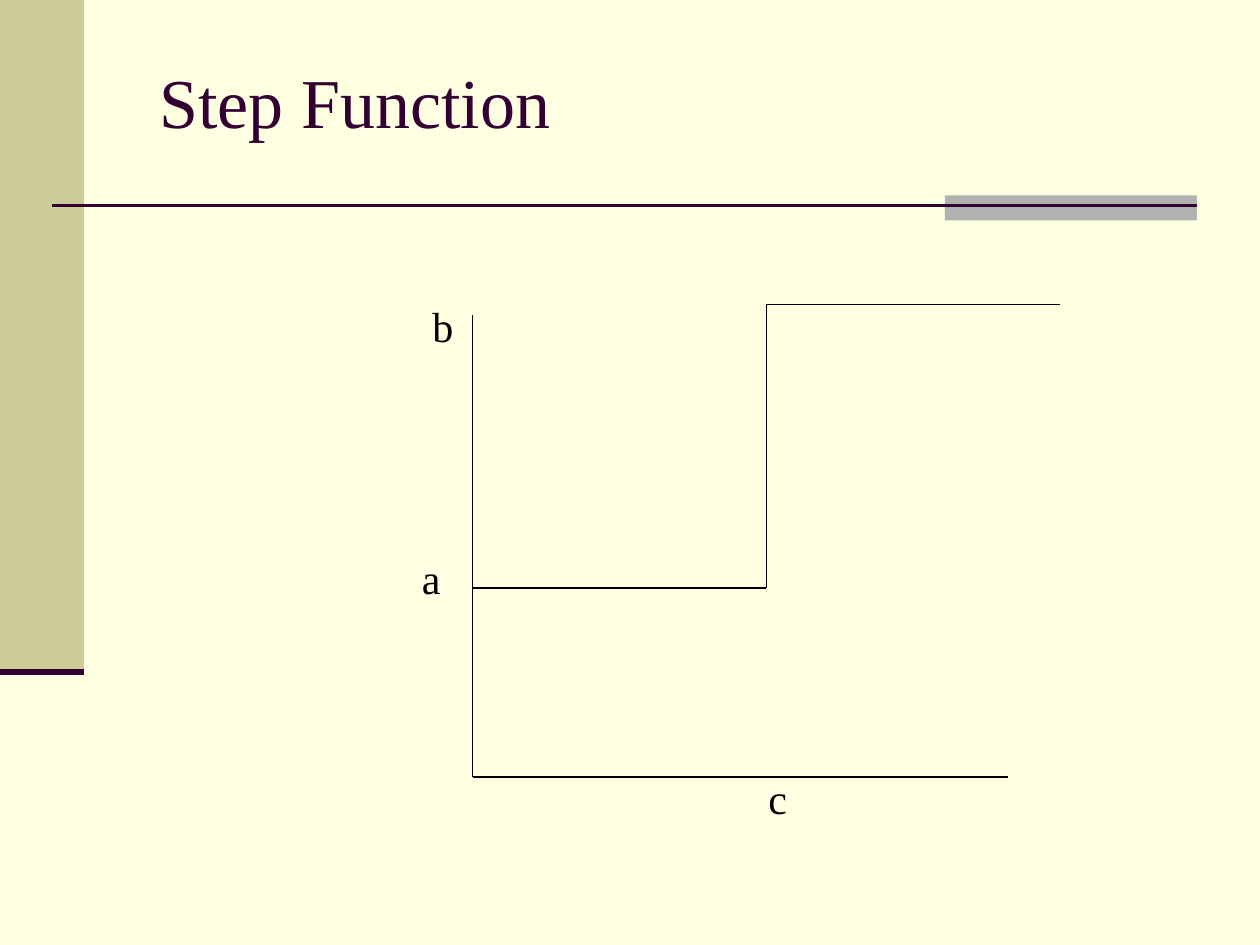
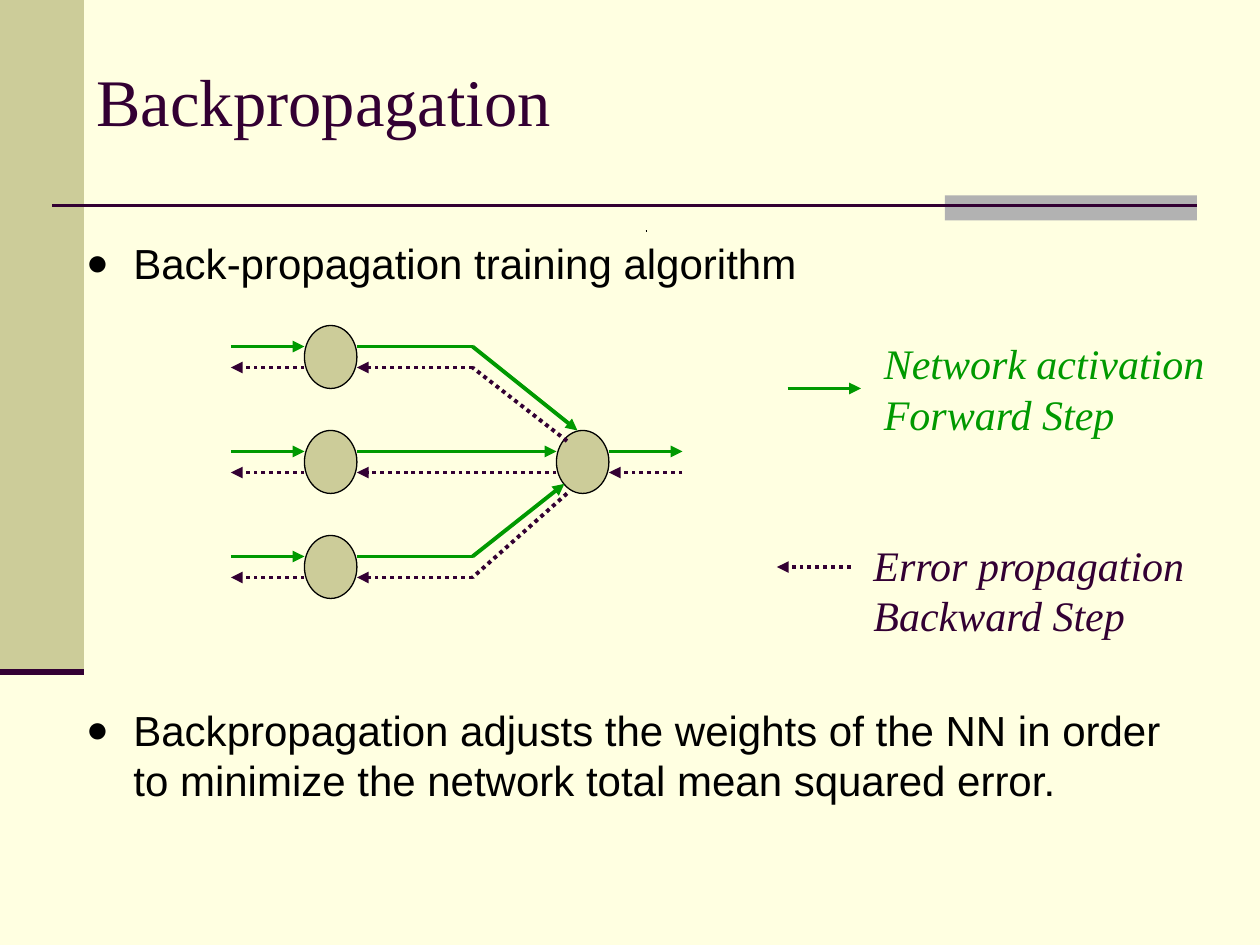
from dataclasses import dataclass

from lxml.etree import SubElement
from pptx import Presentation
from pptx.dml.color import RGBColor
from pptx.enum.dml import MSO_LINE
from pptx.enum.shapes import MSO_CONNECTOR, MSO_SHAPE
from pptx.enum.text import MSO_ANCHOR as Anchor, MSO_AUTO_SIZE as AutoSize, PP_ALIGN as Align
from pptx.oxml.ns import qn
from pptx.util import Pt


@dataclass(frozen=True)
class Theme:
    cream: str = "FFFFE1"
    khaki: str = "CCCC99"
    gray: str = "B2B2B2"
    plum: str = "330033"
    green: str = "009900"
    black: str = "000000"
    serif: str = "Times New Roman"
    sans: str = "Arial"
    text: int = 24
    thin: float = 0.75
    rule: float = 1.5
    arrow: float = 2.25
    edge: float = 3.5


THEME = Theme()

# Boxes are (left, top, width, height); paths are lists of (x, y).
STEP_TITLE = ("Step Function", (84, 30, 378, 56), 40, Anchor.TOP)
AXES = [(270, 180), (270, 444), (576, 444)]
STEP = [(270, 336), (438, 336), (438, 174), (606, 174)]
AXIS_LABELS = [
    ("c", (432, 438, 126, 36)),
    ("b", (240, 168, 24, 36)),
    ("a", (234, 312, 30, 36)),
]

BACKPROP_TITLE = ("Backpropagation", (48, 12, 636, 90), 38, Anchor.MIDDLE)
BODY_BOX = (42, 132, 652, 336)
BULLETS = [  # text, space before
    ("Back-propagation training algorithm", 6),
    ("Backpropagation adjusts the weights of the NN in order "
     "to minimize the network total mean squared error.", 238),
]
SPECK = [(369, 132), (369.5, 132)]

NODE_WIDTH, NODE_HEIGHT = 30, 36
INPUT_LEFT, OUTPUT_LEFT = 174, 318
ROW_TOPS = [186, 246, 306]
MIDDLE_ROW = ROW_TOPS[1]
FORWARD_DROP, BACKWARD_DROP = 12, 24
ARROW_LENGTH = 42
BEND_X = 270
# Where the bent paths of the outer rows meet the output node
FORWARD_ENDS = {ROW_TOPS[0]: (330, 246), ROW_TOPS[2]: (322.5, 276.5)}
BACKWARD_STARTS = {ROW_TOPS[0]: (324, 252), ROW_TOPS[2]: (324, 282)}

LEGEND = [  # lines, box, arrow path, is forward
    ("Network activation\nForward Step", (498, 189.6, 222, 64.8), [(450, 222), (492, 222)], True),
    ("Error propagation\nBackward Step", (492, 304.8, 204, 64.8), [(486, 324), (444, 324)], False),
]


def color(code):
    return RGBColor.from_string(code)


def place(shape, box):
    shape.left, shape.top, shape.width, shape.height = map(Pt, box)


def format_text(frame, font, size, ink, italic=False):
    for para in frame.paragraphs:
        para.alignment = Align.LEFT
        for span in para.runs:
            span.font.name = font
            span.font.size = Pt(size)
            span.font.italic = italic
            span.font.color.rgb = color(ink)


def add_block(page, preset, box, fill, outline=None):
    shape = page.shapes.add_shape(preset, *map(Pt, box))
    shape.shadow.inherit = False
    shape.fill.solid()
    shape.fill.fore_color.rgb = color(fill)
    if outline:
        shape.line.color.rgb = color(outline)
        shape.line.width = Pt(THEME.thin)
    else:
        shape.line.fill.background()
    return shape


def add_path(page, points, ink=THEME.black, width=THEME.thin, dotted=False, arrow=False):
    """Join the points with straight lines; an arrowhead goes on the last one."""
    lines = []
    for start, end in zip(points, points[1:]):
        line = page.shapes.add_connector(MSO_CONNECTOR.STRAIGHT, *map(Pt, start + end))
        line.line.color.rgb = color(ink)
        line.line.width = Pt(width)
        if dotted:
            line.line.dash_style = MSO_LINE.ROUND_DOT
        SubElement(line.element.spPr, qn("a:effectLst"))
        lines.append(line)
    if arrow:
        SubElement(lines[-1].line._get_or_add_ln(), qn("a:tailEnd"), type="triangle")
    return lines


def add_signal(page, points, forward):
    ink = THEME.green if forward else THEME.plum
    add_path(page, points, ink, THEME.arrow, dotted=not forward, arrow=True)


def add_label(page, text, box, ink=THEME.black, italic=False):
    label = page.shapes.add_textbox(*map(Pt, box))
    label.text_frame.word_wrap = True
    label.text_frame.text = text
    format_text(label.text_frame, THEME.serif, THEME.text, ink, italic)


def set_title(page, text, box, size, anchor):
    title = page.shapes.title
    place(title, box)
    frame = title.text_frame
    frame.text = text
    frame.auto_size = AutoSize.NONE
    frame.vertical_anchor = anchor
    format_text(frame, THEME.serif, size, THEME.plum)


def set_bullets(page):
    body = page.placeholders[1]
    place(body, BODY_BOX)
    frame = body.text_frame
    frame.text = "\n".join(text for text, _ in BULLETS)
    frame.auto_size = AutoSize.NONE
    format_text(frame, THEME.sans, THEME.text, THEME.black)
    for para, (_, gap) in zip(frame.paragraphs, BULLETS):
        para.space_before = Pt(gap)
        props = para._p.get_or_add_pPr()
        props.set("marL", str(Pt(27)))
        props.set("indent", str(Pt(-27)))
        SubElement(SubElement(props, qn("a:buClr")), qn("a:srgbClr"), val=THEME.black)
        SubElement(props, qn("a:buSzPct"), val="90000")
        SubElement(props, qn("a:buFont"), typeface=THEME.sans)
        SubElement(props, qn("a:buChar"), char="●")


def decorate_master(deck, page):
    """Draw the shared bands on a page, then move them to the master."""
    master = deck.slide_master
    master.background.fill.solid()
    master.background.fill.fore_color.rgb = color(THEME.cream)
    bands = [
        add_block(page, MSO_SHAPE.RECTANGLE, (0, 0, 48, 384), THEME.khaki),
        add_block(page, MSO_SHAPE.RECTANGLE, (540, 111.6, 144, 14.4), THEME.gray),
        *add_path(page, [(30, 117.5), (684, 117.5)], THEME.plum, THEME.rule),
        *add_path(page, [(0, 384), (48, 384)], THEME.plum, THEME.edge),
    ]
    for band in bands:
        master.element.cSld.spTree.append(band.element)


def draw_step(page):
    set_title(page, *STEP_TITLE)
    add_path(page, AXES)
    add_path(page, STEP)
    for text, box in AXIS_LABELS:
        add_label(page, text, box)


def draw_network(page):
    input_right = INPUT_LEFT + NODE_WIDTH
    output_right = OUTPUT_LEFT + NODE_WIDTH
    nodes = [(INPUT_LEFT, top) for top in ROW_TOPS] + [(OUTPUT_LEFT, MIDDLE_ROW)]
    for left, top in nodes:
        add_block(page, MSO_SHAPE.OVAL, (left, top, NODE_WIDTH, NODE_HEIGHT),
                  THEME.khaki, THEME.black)

    for top in ROW_TOPS:
        ahead, back = top + FORWARD_DROP, top + BACKWARD_DROP
        outer = INPUT_LEFT - ARROW_LENGTH
        add_signal(page, [(outer, ahead), (INPUT_LEFT, ahead)], True)
        add_signal(page, [(INPUT_LEFT, back), (outer, back)], False)
        if top == MIDDLE_ROW:
            ahead_path = [(input_right, ahead), (OUTPUT_LEFT, ahead)]
            back_path = [(OUTPUT_LEFT, back), (input_right, back)]
        else:
            ahead_path = [(input_right, ahead), (BEND_X, ahead), FORWARD_ENDS[top]]
            back_path = [BACKWARD_STARTS[top], (BEND_X, back), (input_right, back)]
        add_signal(page, ahead_path, True)
        add_signal(page, back_path, False)

    ahead, back = MIDDLE_ROW + FORWARD_DROP, MIDDLE_ROW + BACKWARD_DROP
    outer = output_right + ARROW_LENGTH
    add_signal(page, [(output_right, ahead), (outer, ahead)], True)
    add_signal(page, [(outer, back), (output_right, back)], False)


def draw_backpropagation(page):
    set_title(page, *BACKPROP_TITLE)
    set_bullets(page)
    add_path(page, SPECK)
    draw_network(page)
    for text, box, path, forward in LEGEND:
        add_signal(page, path, forward)
        add_label(page, text, box, THEME.green if forward else THEME.plum, italic=True)


def main():
    deck = Presentation()
    deck.slide_width, deck.slide_height = Pt(720), Pt(540)
    title_only, title_and_body = deck.slide_layouts[5], deck.slide_layouts[1]
    step_page = deck.slides.add_slide(title_only)
    decorate_master(deck, step_page)
    draw_step(step_page)
    draw_backpropagation(deck.slides.add_slide(title_and_body))
    deck.save("out.pptx")


if __name__ == "__main__":
    main()
